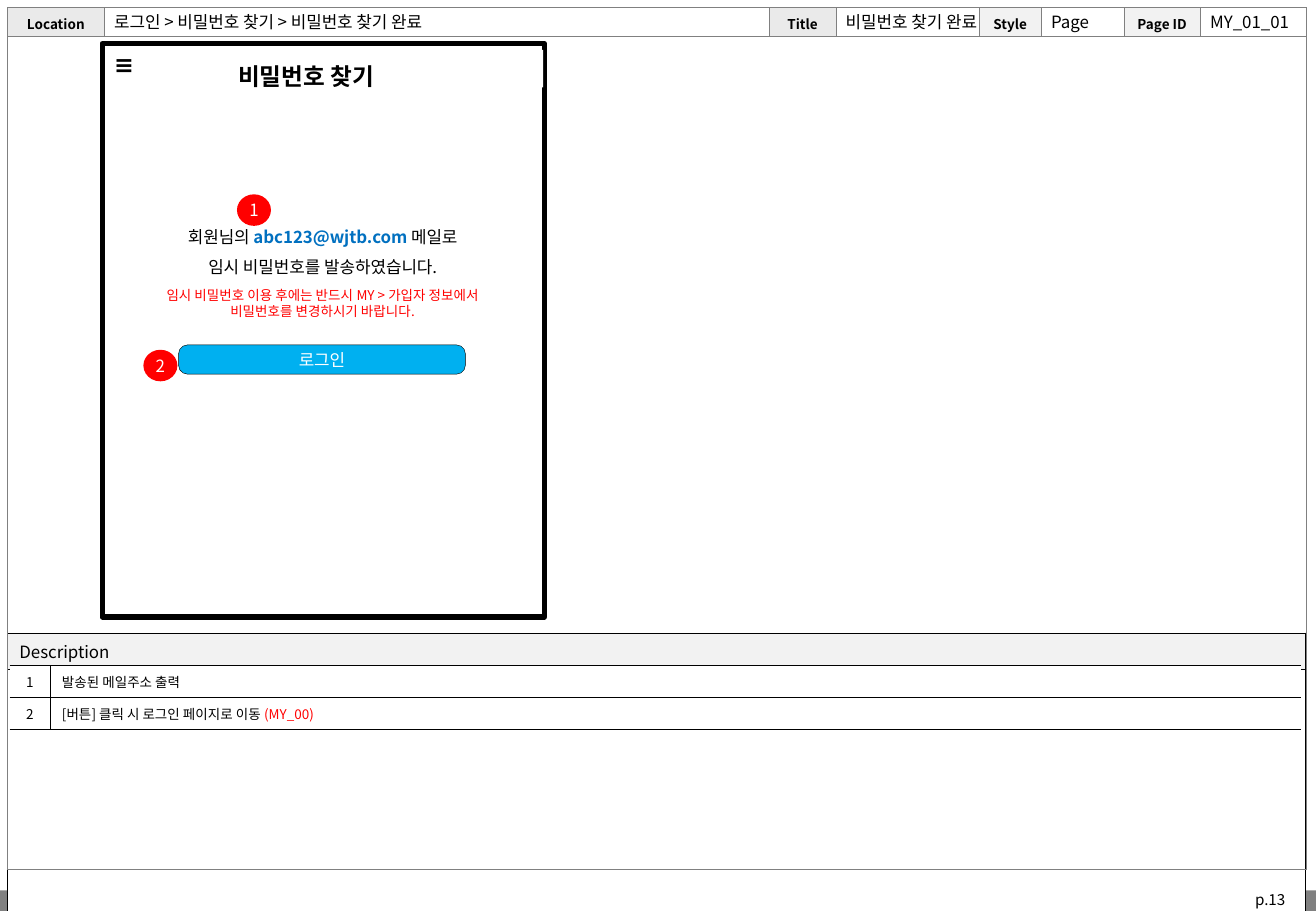
from pptx import Presentation
from pptx.dml.color import RGBColor
from pptx.enum.shapes import MSO_SHAPE
from pptx.enum.text import MSO_ANCHOR, PP_ALIGN
from pptx.oxml import parse_xml
from pptx.oxml.ns import nsdecls, qn
from pptx.util import Inches, Pt

RECT, ROUND, OVAL = MSO_SHAPE.RECTANGLE, MSO_SHAPE.ROUNDED_RECTANGLE, MSO_SHAPE.OVAL
TOP, MIDDLE = MSO_ANCHOR.TOP, MSO_ANCHOR.MIDDLE
LEFT, CENTER = PP_ALIGN.LEFT, PP_ALIGN.CENTER

THEME = {
    "font": "Noto Sans CJK KR", "icon_font": "Roboto",
    "black": "000000", "white": "FFFFFF", "grey": "808080", "label": "EAEAEA",
    "band": "F2F2F2", "red": "FF0000", "link": "0070C0", "button": "00B0F0",
    "small": 8, "page": 9, "body": 10, "heading": 14, "hairline": 0.25, "frame": 3,
}

HEADER = [
    ("Location", "label", 0.8, "로그인 > 비밀번호 찾기 > 비밀번호 찾기 완료", 5.47),
    ("Title", "label", 0.55, "비밀번호 찾기 완료", 1.18),
    ("Style", "band", 0.51, "Page", 0.68),
    ("Page ID", "band", 0.63, "MY_01_01", 0.87),
]
SCREEN_TITLE = "비밀번호 찾기"
MAIL_NOTICE = [
    [("회원님의 ", {}), ("abc123@wjtb.com ", {"color": "link", "bold": True}), ("메일로", {})],
    [("임시 비밀번호를 발송하였습니다.", {})],
]
CHANGE_NOTICE = [
    [("임시 비밀번호 이용 후에는 반드시 MY > 가입자 정보에서", {})],
    [("비밀번호를 변경하시기 바랍니다.", {})],
]
LOGIN = "로그인"
MARKERS = [("1", 1.95, 1.6), ("2", 1.18, 2.88)]
DESCRIPTION = "Description"
ITEMS = [
    [("발송된 메일주소 출력", {})],
    [("[버튼] 클릭 시 로그인 페이지로 이동 ", {}), ("(MY_00)", {"color": "red"})],
]
PAGE_NUMBER = "p.13"

SHEET_LEFT, SHEET_TOP, SHEET_WIDTH = 0.06, 0.06, 10.68
HEADER_HEIGHT, SHEET_HEIGHT = 0.24, 7.1
FRAME = (0.84, 0.36, 3.64, 4.72)


def color(name):
    return RGBColor.from_string(THEME[name])


def write(frame, content, size="body", ink="black", bold=False, align=LEFT,
          anchor=MIDDLE, spacing=None, font="font"):
    paragraphs = [[(content, {})]] if isinstance(content, str) else content
    frame.vertical_anchor = anchor
    for number, pieces in enumerate(paragraphs):
        paragraph = frame.add_paragraph() if number else frame.paragraphs[0]
        paragraph.alignment = align
        if spacing:
            paragraph.line_spacing = spacing
        for words, look in pieces:
            run = paragraph.add_run()
            run.text = words
            run.font.size = Pt(THEME[size])
            run.font.bold = look.get("bold", bold)
            run.font.color.rgb = color(look.get("color", ink))
            run.font.name = THEME[font]
            run.font._element.find(qn("a:latin")).addnext(
                parse_xml(f'<a:ea {nsdecls("a")} typeface="{THEME[font]}"/>'))


def set_insets(frame, insets):
    (frame.margin_left, frame.margin_top,
     frame.margin_right, frame.margin_bottom) = [Inches(n) for n in insets]


def add_text(slide, box, content, insets=(0, 0, 0, 0), **style):
    frame = slide.shapes.add_textbox(*[Inches(n) for n in box]).text_frame
    frame.word_wrap = True
    set_insets(frame, insets)
    write(frame, content, **style)


def add_block(slide, kind, box, fill=None, line=None, weight="hairline"):
    block = slide.shapes.add_shape(kind, *[Inches(n) for n in box])
    block.shadow.inherit = False
    if fill:
        block.fill.solid()
        block.fill.fore_color.rgb = color(fill)
    else:
        block.fill.background()
    if line:
        block.line.color.rgb = color(line)
        block.line.width = Pt(THEME[weight])
    else:
        block.line.fill.background()
    return block


def add_grid(slide, left, top, widths, heights):
    grid = slide.shapes.add_table(len(heights), len(widths), Inches(left), Inches(top),
                                  Inches(sum(widths)), Inches(sum(heights))).table
    grid.first_row = grid.horz_banding = False
    for column, width in zip(grid.columns, widths):
        column.width = Inches(width)
    for row, height in zip(grid.rows, heights):
        row.height = Inches(height)
    return grid


def style_cell(cell, fill=None, border="black", sides="LRTB"):
    props = cell._tc.get_or_add_tcPr()
    for side in "LRTB":
        paint = (f'<a:solidFill><a:srgbClr val="{THEME[border]}"/></a:solidFill>'
                 if side in sides else "<a:noFill/>")
        props.append(parse_xml(f'<a:ln{side} {nsdecls("a")} '
                               f'w="{Pt(THEME["hairline"])}">{paint}</a:ln{side}>'))
    if fill:
        cell.fill.solid()
        cell.fill.fore_color.rgb = color(fill)
    else:
        cell.fill.background()
    if not cell.text_frame.text:
        set_insets(cell, (0, 0, 0, 0))
        cell.text_frame.paragraphs[0]._p.append(
            parse_xml(f'<a:endParaRPr {nsdecls("a")} sz="{THEME["small"] * 100}"/>'))


def write_cell(cell, content, **style):
    write(cell.text_frame, content, **style)
    cell.vertical_anchor = style.get("anchor", TOP)


def draw_sheet(slide):
    widths = [width for field in HEADER for width in (field[2], field[4])]
    sheet = add_grid(slide, SHEET_LEFT, SHEET_TOP, widths,
                     [HEADER_HEIGHT, SHEET_HEIGHT - HEADER_HEIGHT])
    for number, (label, fill, *_) in enumerate(HEADER):
        name_cell, value_cell = sheet.cell(0, 2 * number), sheet.cell(0, 2 * number + 1)
        write_cell(name_cell, label, size="small", bold=True, align=CENTER, anchor=MIDDLE)
        set_insets(name_cell, (0, 0.03, 0, 0))
        style_cell(name_cell, fill, "grey")
        style_cell(value_cell, None, "grey")
    sheet.cell(1, 0).merge(sheet.cell(1, len(widths) - 1))
    for column in range(len(widths)):
        style_cell(sheet.cell(1, column), None, "grey")


def draw_header_values(slide):
    left = SHEET_LEFT
    for _, _, label_width, value, value_width in HEADER:
        left += label_width
        add_text(slide, (left, 0.07, value_width, 0.22), value, (0.08, 0, 0, 0))
        left += value_width


def draw_description(slide):
    panel = add_grid(slide, SHEET_LEFT, 5.21, [SHEET_WIDTH], [0.3, 2.03])
    write_cell(panel.cell(0, 0), DESCRIPTION)
    style_cell(panel.cell(0, 0), "band")
    style_cell(panel.cell(1, 0), "white")


def draw_items(slide):
    items = add_grid(slide, 0.08, 5.48, [0.33, 10.3], [0.26] * len(ITEMS))
    for row, pieces in enumerate(ITEMS):
        write_cell(items.cell(row, 0), str(row + 1), size="small", align=CENTER)
        write_cell(items.cell(row, 1), [pieces], size="small")
        style_cell(items.cell(row, 0), "white", sides="RTB")
        style_cell(items.cell(row, 1), "white", sides="LTB")


def draw_screen(slide):
    button = add_block(slide, ROUND, (1.47, 2.84, 2.36, 0.24), "button", "black")
    button.adjustments[0] = 0.3
    set_insets(button.text_frame, (0, 0, 0, 0))
    write(button.text_frame, LOGIN, ink="white", align=CENTER)
    add_text(slide, (1.05, 1.78, 3.21, 0.5), MAIL_NOTICE, align=CENTER, spacing=1.5)
    add_text(slide, (1.05, 2.36, 3.21, 0.27), CHANGE_NOTICE, size="small", ink="red",
             align=CENTER)
    for number, left, top in MARKERS:
        marker = add_block(slide, OVAL, (left, top, 0.28, 0.26), "red")
        marker.text_frame.word_wrap = False
        set_insets(marker.text_frame, [0.04] * 4)
        write(marker.text_frame, number, ink="white", align=CENTER)
    heading = add_block(slide, RECT, (1.53, 0.41, 2.94, 0.31), "white")
    set_insets(heading.text_frame, (0.43, 0, 0, 0))
    write(heading.text_frame, SCREEN_TITLE, size="heading", bold=True, spacing=1.5)


def main():
    deck = Presentation()
    deck.slide_width, deck.slide_height = Inches(10.83), Inches(7.5)
    slide = deck.slides.add_slide(deck.slide_layouts[6])
    add_block(slide, RECT, (0, 7.33, 10.83, 0.17), "grey")
    draw_description(slide)
    menu = add_block(slide, RECT, (*FRAME[:3], 0.34), "white")
    write(menu.text_frame, "≡", size="heading", bold=True, anchor=TOP, font="icon_font")
    add_block(slide, RECT, FRAME, line="black", weight="frame")
    draw_sheet(slide)
    add_text(slide, (10.23, 7.28, 0.6, 0.25), PAGE_NUMBER, (0.1, 0.05, 0.1, 0.05),
             size="page", anchor=TOP)
    draw_header_values(slide)
    draw_items(slide)
    draw_screen(slide)
    deck.save("out.pptx")


if __name__ == "__main__":
    main()
